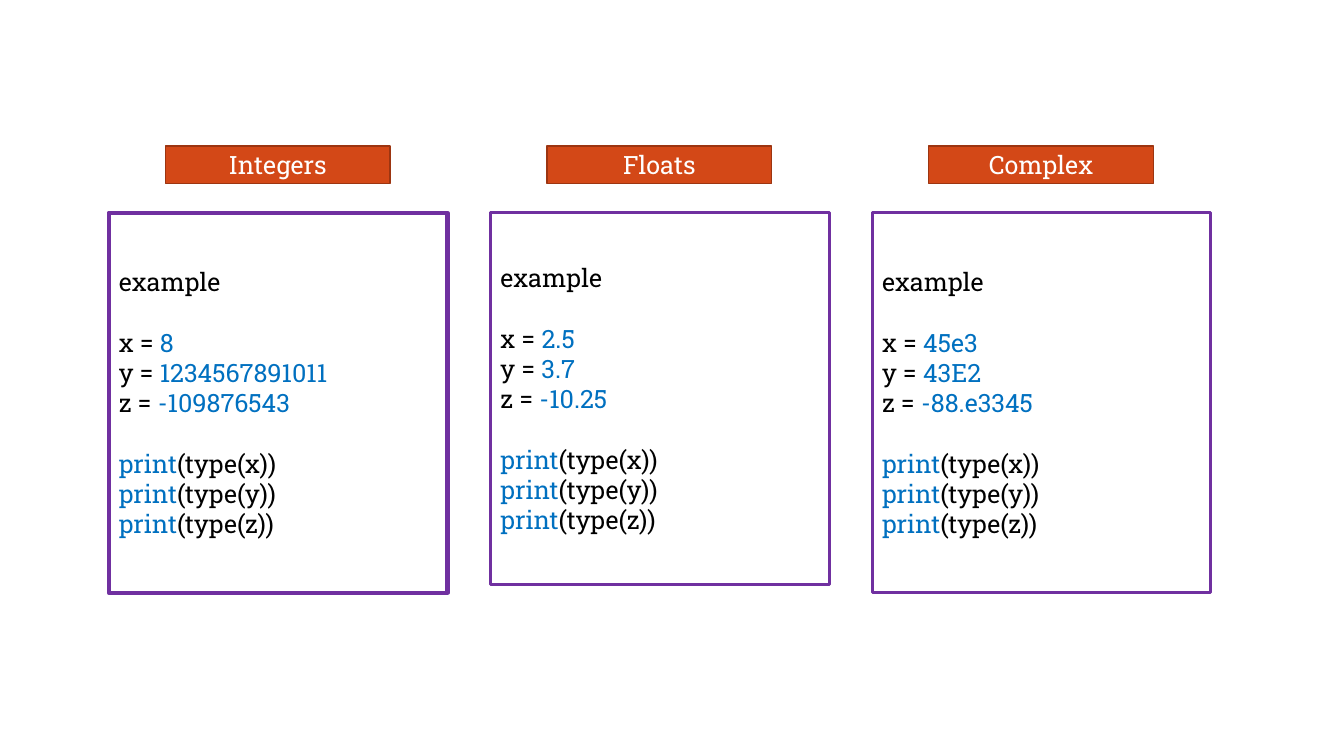
from pptx import Presentation
from pptx.dml.color import RGBColor
from pptx.enum.shapes import MSO_SHAPE
from pptx.enum.text import MSO_ANCHOR, PP_ALIGN
from pptx.util import Inches, Pt

RECTANGLE = MSO_SHAPE.RECTANGLE
MIDDLE = MSO_ANCHOR.MIDDLE
LEFT, CENTER = PP_ALIGN.LEFT, PP_ALIGN.CENTER

WHITE = RGBColor(0xFF, 0xFF, 0xFF)
BLACK = RGBColor(0x00, 0x00, 0x00)
BLUE = RGBColor(0x00, 0x70, 0xC0)
PURPLE = RGBColor(0x70, 0x30, 0xA0)
ORANGE = RGBColor(0xD3, 0x48, 0x17)
RUST = RGBColor(0x9C, 0x35, 0x11)

FONT = "Roboto Slab"
TEXT_SIZE = Pt(18)
BLOCK_GAP = Pt(21.6)  # one line of text

FIRST_LEFT, COLUMN_PITCH = 1.08, 3.785
HEADING_INDENT = 0.56

# Heading, values of x, y and z, card height, card border width
NUMBER_TYPES = [
    ("Integers", ("8", "1234567891011", "-109876543"), 3.77, 3),
    ("Floats", ("2.5", "3.7", "-10.25"), 3.69, 2.25),
    ("Complex", ("45e3", "43E2", "-88.e3345"), 3.77, 2.25),
]


def add_box(slide, left, top, width, height, fill, border, border_width):
    box = slide.shapes.add_shape(
        RECTANGLE, Inches(left), Inches(top), Inches(width), Inches(height))
    box.shadow.inherit = False
    box.fill.solid()
    box.fill.fore_color.rgb = fill
    box.line.color.rgb = border
    box.line.width = Pt(border_width)
    box.text_frame.word_wrap = True
    box.text_frame.vertical_anchor = MIDDLE
    return box.text_frame


def write_line(paragraph, runs, align=LEFT):
    paragraph.alignment = align
    paragraph.font.name = FONT
    paragraph.font.size = TEXT_SIZE
    for text, color in runs:
        run = paragraph.add_run()
        run.text = text
        run.font.color.rgb = color


def add_heading(slide, left, title):
    frame = add_box(slide, left, 1.45, 2.23, 0.37, ORANGE, RUST, 1)
    write_line(frame.paragraphs[0], [(title, WHITE)], CENTER)


def add_code_card(slide, left, values, height, border_width):
    frame = add_box(slide, left, 2.11, 3.36, height, WHITE, PURPLE, border_width)
    write_line(frame.paragraphs[0], [("example", BLACK)])
    assignments = [[(f"{name} = ", BLACK), (value, BLUE)]
                   for name, value in zip("xyz", values)]
    prints = [[("print", BLUE), (f"(type({name}))", BLACK)] for name in "xyz"]
    for block in (assignments, prints):
        for index, runs in enumerate(block):
            paragraph = frame.add_paragraph()
            write_line(paragraph, runs)
            if index == 0:
                paragraph.space_before = BLOCK_GAP


def main():
    prs = Presentation()
    prs.slide_width, prs.slide_height = Inches(13.33), Inches(7.5)
    slide = prs.slides.add_slide(prs.slide_layouts[6])

    # One column for each number type
    for column, (title, values, height, border_width) in enumerate(NUMBER_TYPES):
        left = FIRST_LEFT + column * COLUMN_PITCH
        add_heading(slide, left + HEADING_INDENT, title)
        add_code_card(slide, left, values, height, border_width)

    prs.save("out.pptx")


if __name__ == "__main__":
    main()
